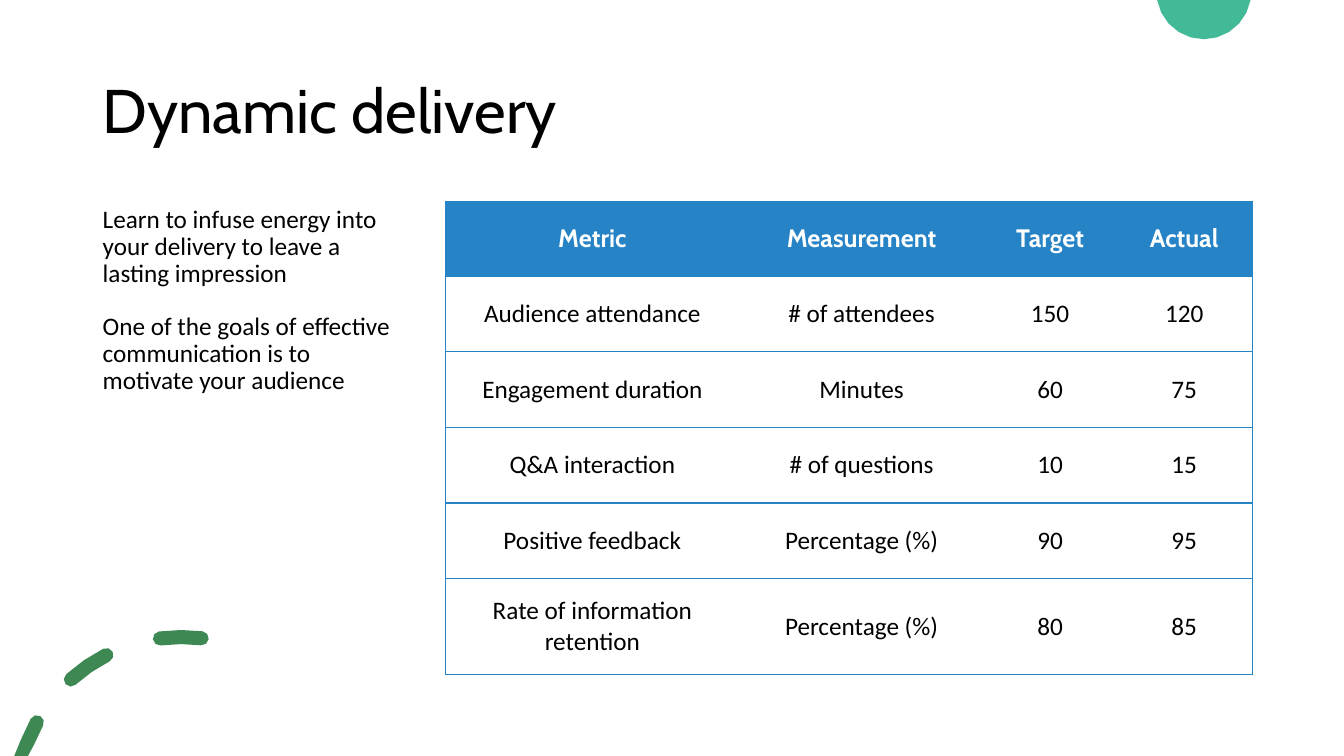
import math
from dataclasses import dataclass

import pptx
import pptx.dml.color
import pptx.enum.text
import pptx.oxml
import pptx.oxml.ns
import pptx.util
from pptx.util import Inches

ALIGN = pptx.enum.text.PP_ALIGN
ANCHOR = pptx.enum.text.MSO_ANCHOR


@dataclass(frozen=True)
class Theme:
    """Colours, fonts and type sizes of the slide."""
    ink: str = "000000"
    paper: str = "FFFFFF"
    blue: str = "2683C6"
    green: str = "3E8853"
    mint: str = "42BA97"
    heading_font: str = "Cabin"
    body_font: str = "Calibri"
    title_size: int = 44
    body_size: int = 18


def rgb(value):
    """Turn a hex string into a colour."""
    return pptx.dml.color.RGBColor.from_string(value)


def polar(cx, cy, radius, angle):
    """Place a point on a circle, with the angle in degrees clockwise from the top."""
    turn = math.radians(angle)
    return cx + radius * math.sin(turn), cy - radius * math.cos(turn)


def arc(cx, cy, radius, start, end, steps):
    """List evenly spaced points along a circle."""
    return [polar(cx, cy, radius, start + (end - start) * i / steps) for i in range(steps + 1)]


def rounded_dash(cx, cy, radius, half_width, start, end, bottom):
    """Outline a round-ended stroke along a circle, cut flat at the bottom."""
    tail, head = polar(cx, cy, radius, start), polar(cx, cy, radius, end)
    middle = (start + end) / 2
    tail_steps = 1 if tail[1] > bottom else 4
    outline = [polar(cx, cy, radius + half_width, middle),
               *arc(*head, half_width, end, end + 180, 4),
               polar(cx, cy, radius - half_width, middle),
               *arc(*tail, half_width, start + 180, start + 360, tail_steps)]
    return [(x, min(y, bottom)) for x, y in outline]


class SlideWriter:
    """Draws styled elements on the current slide."""

    def __init__(self, slide, theme):
        self.slide = slide
        self.theme = theme

    def outline(self, contours, color):
        """Draw closed contours as one filled shape."""
        contours = [[(Inches(x), Inches(y)) for x, y in c] for c in contours]
        builder = self.slide.shapes.build_freeform(*contours[0][0], scale=1.0)
        for index, (first, *rest) in enumerate(contours):
            if index:
                builder.move_to(*first)
            builder.add_line_segments(rest, close=True)
        shape = builder.convert_to_shape()
        shape.shadow.inherit = False
        shape.fill.solid()
        shape.fill.fore_color.rgb = rgb(color)
        shape.line.fill.background()

    def style(self, paragraph, font, size, color, bold=False):
        """Set the font of a paragraph."""
        paragraph.font.name = font
        paragraph.font.size = pptx.util.Pt(size)
        paragraph.font.color.rgb = rgb(color)
        paragraph.font.bold = bold

    def text(self, box, lines, font, size, anchor=ANCHOR.TOP, before=0, after=0):
        """Write paragraphs in a wrapping text box."""
        frame = self.slide.shapes.add_textbox(*map(Inches, box)).text_frame
        frame.word_wrap = True
        frame.vertical_anchor = anchor
        frame.text = "\n".join(lines)
        for paragraph in frame.paragraphs:
            self.style(paragraph, font, size, self.theme.ink)
            paragraph.line_spacing = 0.9
            paragraph.space_before = pptx.util.Pt(before)
            paragraph.space_after = pptx.util.Pt(after)

    def borders(self, cell, visible):
        """Draw the named cell sides and hide the others."""
        properties = cell._tc.get_or_add_tcPr()
        for index, side in enumerate("LRTB"):
            paint = (f'<a:solidFill><a:srgbClr val="{self.theme.blue}"/></a:solidFill>'
                     if side in visible else "<a:noFill/>")
            properties.insert(index, pptx.oxml.parse_xml(
                f'<a:ln{side} {pptx.oxml.ns.nsdecls("a")} w="12700">{paint}</a:ln{side}>'))

    def table(self, box, widths, heights, rows):
        """Draw a table with a solid header and ruled rows."""
        theme = self.theme
        grid = self.slide.shapes.add_table(len(rows), len(widths), *map(Inches, box)).table
        for column, width in zip(grid.columns, widths):
            column.width = Inches(width)
        for r, (values, height) in enumerate(zip(rows, heights)):
            grid.rows[r].height = Inches(height)
            header = r == 0
            for c, value in enumerate(values):
                cell = grid.cell(r, c)
                cell.text = value
                cell.vertical_anchor = ANCHOR.MIDDLE
                cell.fill.solid()
                cell.fill.fore_color.rgb = rgb(theme.blue if header else theme.paper)
                paragraph = cell.text_frame.paragraphs[0]
                paragraph.alignment = ALIGN.CENTER
                self.style(paragraph, theme.heading_font if header else theme.body_font,
                           theme.body_size, theme.paper if header else theme.ink, header)
                left = "L" if c == 0 else ""
                right = "R" if c == len(widths) - 1 else ""
                self.borders(cell, "TB" + left + right)


def main():
    """Build and save the slide."""
    deck = pptx.Presentation()
    deck.slide_width, deck.slide_height = Inches(13.33), Inches(7.5)
    theme = Theme()
    writer = SlideWriter(deck.slides.add_slide(deck.slide_layouts[6]), theme)

    dash_spans = [(-76, -61), (-42, -27), (-7.5, 7)]
    writer.outline([rounded_dash(1.8, 7.96, 1.64, 0.07, start, end, 7.5)
                    for start, end in dash_spans], theme.green)
    writer.outline([arc(11.94, -0.08, 0.47, 100, 260, 10)], theme.mint)

    writer.text((0.92, 0.4, 11.5, 1.45), ["Dynamic delivery"],
                theme.heading_font, theme.title_size, ANCHOR.MIDDLE)
    advice = ["Learn to infuse energy into your delivery to leave a lasting impression",
              "One of the goals of effective communication is to motivate your audience"]
    writer.text((0.92, 2, 3.15, 4.7), advice, theme.body_font, theme.body_size,
                before=10, after=8)

    metrics = [("Metric", "Measurement", "Target", "Actual"),
               ("Audience attendance", "# of attendees", "150", "120"),
               ("Engagement duration", "Minutes", "60", "75"),
               ("Q&A interaction", "# of questions", "10", "15"),
               ("Positive feedback", "Percentage (%)", "90", "95"),
               ("Rate of information retention", "Percentage (%)", "80", "85")]
    writer.table((4.42, 2, 8, 4.7), [2.91, 2.43, 1.31, 1.35],
                 [0.74] + [0.75] * 4 + [0.95], metrics)
    deck.save("out.pptx")


if __name__ == "__main__":
    main()
